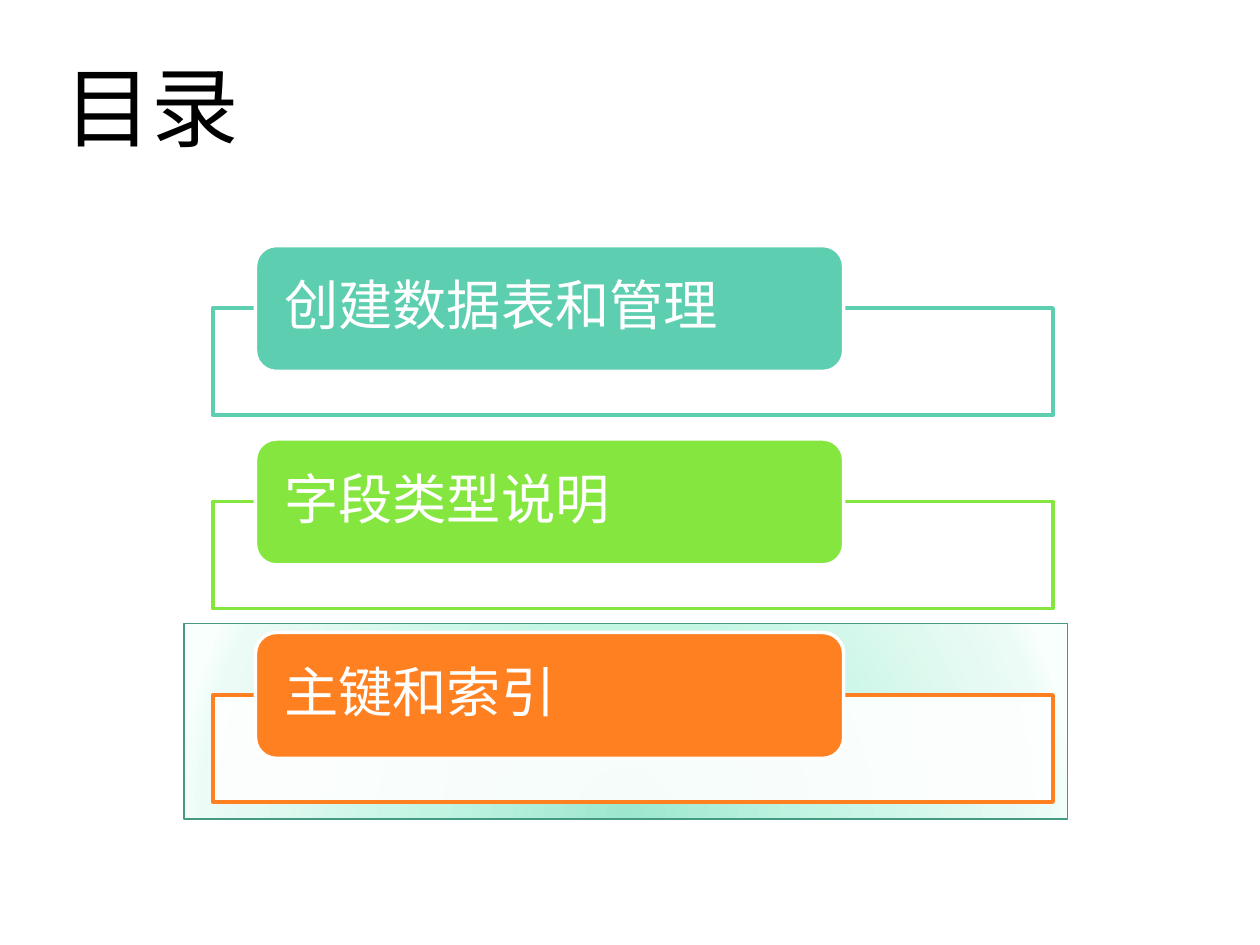
import pptx
import pptx.util
import pptx.dml.color
import pptx.enum.shapes
import pptx.enum.text
import pptx.oxml
import pptx.oxml.ns

Cm, Pt = pptx.util.Cm, pptx.util.Pt
KINDS = pptx.enum.shapes.MSO_SHAPE
ANCHORS = pptx.enum.text.MSO_ANCHOR
NAMESPACE = pptx.oxml.ns.nsdecls("a")


def color(value):
    return pptx.dml.color.RGBColor.from_string(value)


def add_box(parent, kind, left, top, width, height, fill, line, line_width):
    box = parent.add_shape(kind, Cm(left), Cm(top), Cm(width), Cm(height))
    box.shadow.inherit = False
    box.fill.solid()
    box.fill.fore_color.rgb = color(fill)
    box.line.color.rgb = color(line)
    box.line.width = Pt(line_width)
    return box


def add_text(parent, text, left, top, width, height, anchor, margins, size, font, text_color):
    box = parent.add_textbox(Cm(left), Cm(top), Cm(width), Cm(height))
    frame = box.text_frame
    frame.word_wrap = True
    frame.vertical_anchor = anchor
    frame.margin_left = frame.margin_right = Cm(margins[0])
    frame.margin_top, frame.margin_bottom = Cm(margins[1]), Cm(0)
    para = frame.paragraphs[0]
    para.text = text
    para.font.size = Pt(size)
    para.font.name = font
    para.font.color.rgb = color(text_color)
    return para


deck = pptx.Presentation()
deck.slide_width, deck.slide_height = Cm(25.4), Cm(19.05)
page = deck.slides.add_slide(deck.slide_layouts[6])

# Highlight behind the current topic, with a radial gradient
highlight = add_box(page.shapes, KINDS.RECTANGLE, 3.71, 12.57, 17.81, 3.94,
                    "FFFFFF", "449A82", 0.75)
stops = "".join(
    f'<a:gs pos="{percent * 1000}"><a:srgbClr val="{value}"/></a:gs>'
    for percent, value in [(0, "9DE7CE"), (43, "C3F5E3"), (93, "ECFBF6"), (100, "F8FFFC")])
gradient = pptx.oxml.parse_xml(
    f'<a:gradFill {NAMESPACE}><a:gsLst>{stops}</a:gsLst><a:path path="circle">'
    '<a:fillToRect l="50000" t="130000" r="50000" b="-30000"/></a:path></a:gradFill>')
properties = highlight.element.spPr
properties.replace(properties.find(pptx.oxml.ns.qn("a:solidFill")), gradient)

# Title
add_text(page.shapes, "目录", 1.3, 0, 23.8, 3.18, ANCHORS.BOTTOM, (0, 0.13),
         50, "Noto Sans CJK SC", "000000")

# Topics: an outlined frame, a rounded label and its text
topics = [("创建数据表和管理", "5DCEAF"), ("字段类型说明", "86E640"), ("主键和索引", "FF8021")]
topic_list = page.shapes.add_group_shape().shapes
for index, (topic, accent) in enumerate(topics):
    top = 4.95 + 3.9 * index
    frame_box = add_box(topic_list, KINDS.RECTANGLE, 4.29, top + 1.26, 16.94, 2.16,
                        "FFFFFF", accent, 2)
    fill_color = frame_box.element.spPr.find(pptx.oxml.ns.qn("a:solidFill"))[0]
    fill_color.append(pptx.oxml.parse_xml(f'<a:alpha {NAMESPACE} val="90000"/>'))
    add_box(topic_list, KINDS.ROUNDED_RECTANGLE, 5.15, top, 11.86, 2.54, accent, "FFFFFF", 2)
    para = add_text(topic_list, topic, 5.27, top + 0.12, 11.61, 2.29, ANCHORS.MIDDLE, (0.46, 0),
                    31, "Open Sans", "FFFFFF")
    para.line_spacing = 0.9
    para.space_after = Pt(11)

deck.save("out.pptx")
